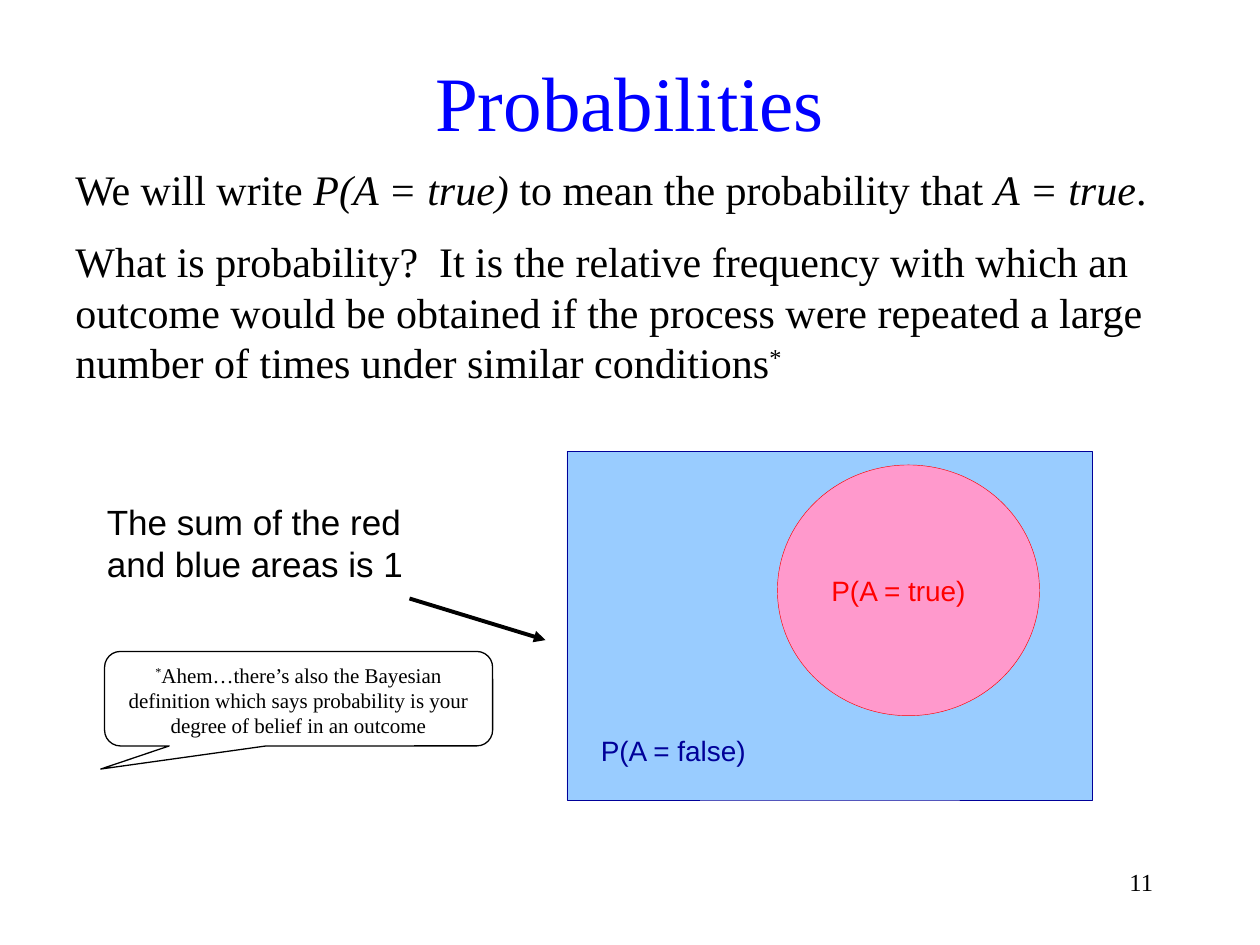
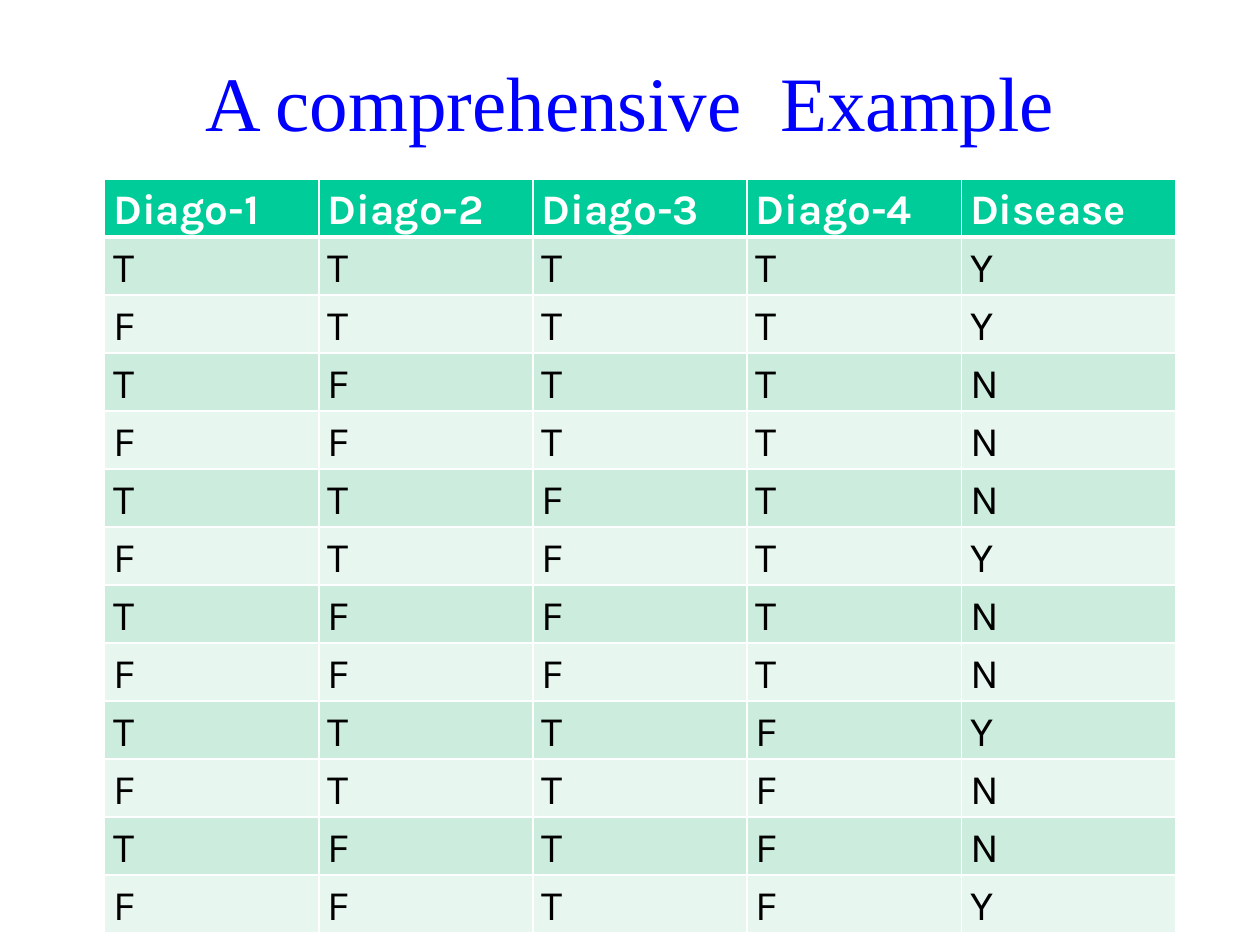
from dataclasses import dataclass
from lxml.etree import SubElement
from pptx import Presentation
from pptx.dml.color import RGBColor
from pptx.enum.shapes import MSO_CONNECTOR as Connector, MSO_SHAPE as Shape
from pptx.enum.text import MSO_ANCHOR as Anchor, PP_ALIGN as Align
from pptx.oxml.ns import qn
from pptx.util import Inches, Pt


@dataclass(frozen=True)
class Theme:
    serif: str = "Times New Roman"
    sans: str = "Arial"
    table_font: str = "Karla"
    black: str = "000000"
    white: str = "FFFFFF"
    title_blue: str = "0000FF"
    navy: str = "000099"
    sky: str = "99CCFF"
    red: str = "FF0000"
    pink: str = "FF99CC"
    header_green: str = "00CC99"
    bands: tuple = ("CCECDE", "E7F6EF")
    title_size: int = 44
    body_size: int = 24
    remark_size: int = 20
    label_size: int = 16
    number_size: int = 14
    callout_size: int = 12


THEME = Theme()

# Content: a paragraph is a list of (text, style) spans
PROBABILITY_TITLE = "Probabilities"
DEFINITION = [
    [("We will write ", ""), ("P(A = true)", "italic"),
     (" to mean the probability that ", ""), ("A = true", "italic"), (".", "")],
    [("What is probability?  It is the relative frequency with which an outcome "
      "would be obtained if the process were repeated a large number of times "
      "under similar conditions", ""), ("*", "super")],
]
BAYES_NOTE = [[("*", "super"),
               ("Ahem…there’s also the Bayesian definition which says probability "
                "is your degree of belief in an outcome", "")]]
AREA_REMARK = "The sum of the red and blue areas is 1"
TRUE_LABEL = "P(A = true)"
FALSE_LABEL = "P(A = false)"
PAGE_NUMBER = "11"

EXAMPLE_TITLE = "A comprehensive  Example"
HEADINGS = ["Diago-1", "Diago-2", "Diago-3", "Diago-4", "Disease"]
CASES = ["TTTTY", "FTTTY", "TFTTN", "FFTTN", "TTFTN", "FTFTY",
         "TFFTN", "FFFTN", "TTTFY", "FTTFN", "TFTFN", "FFTFY"]


def color(value):
    return RGBColor.from_string(value)


def write(frame, text, font=THEME.serif, size=THEME.body_size, ink=THEME.black,
          bold=False, align=Align.LEFT, anchor=Anchor.TOP, wrap=True,
          gap=0, after=0, spacing=None):
    """Fill a text frame from a string or a list of span paragraphs."""
    frame.word_wrap = wrap
    frame.vertical_anchor = anchor
    paragraphs = [[(text, "")]] if isinstance(text, str) else text
    for index, spans in enumerate(paragraphs):
        para = frame.add_paragraph() if index else frame.paragraphs[0]
        para.alignment = align
        if index:
            para.space_before = Pt(gap)
        if after:
            para.space_after = Pt(after)
        if spacing:
            para.line_spacing = spacing
        for words, style in spans:
            span = para.add_run()
            span.text = words
            span.font.name, span.font.size = font, Pt(size)
            span.font.color.rgb = color(ink)
            span.font.bold = bold
            span.font.italic = style == "italic"
            if style == "super":
                span._r.get_or_add_rPr().set("baseline", "30000")


def add_text(page, text, area, **style):
    box = page.shapes.add_textbox(*map(Inches, area))
    write(box.text_frame, text, **style)


def add_figure(page, kind, area, line, width, fill=None):
    figure = page.shapes.add_shape(kind, *map(Inches, area))
    figure.shadow.inherit = False
    if fill:
        figure.fill.solid()
        figure.fill.fore_color.rgb = color(fill)
    else:
        figure.fill.background()
    figure.line.color.rgb = color(line)
    figure.line.width = Pt(width)
    return figure


def add_arrow(page, start, end):
    arrow = page.shapes.add_connector(Connector.STRAIGHT, *map(Inches, start + end))
    arrow.line.color.rgb = color(THEME.black)
    arrow.line.width = Pt(2.25)
    SubElement(arrow.line._get_or_add_ln(), qn("a:tailEnd"), type="triangle")
    SubElement(arrow._element.spPr, qn("a:effectLst"))


def add_page(deck, title):
    page = deck.slides.add_slide(deck.slide_layouts[6])
    add_text(page, title, (0.75, 0.17, 8.5, 1.25), size=THEME.title_size,
             ink=THEME.title_blue, align=Align.CENTER, anchor=Anchor.MIDDLE)
    return page


def style_cell(cell, text, fill, top, bottom, **style):
    cell.margin_left = cell.margin_right = Inches(0.07)
    cell.margin_top = cell.margin_bottom = 0
    for side, width in (("L", 1), ("R", 1), ("T", top), ("B", bottom)):
        border = SubElement(cell._tc.get_or_add_tcPr(), qn(f"a:ln{side}"), w=str(Pt(width)))
        SubElement(SubElement(border, qn("a:solidFill")), qn("a:srgbClr"), val=THEME.white)
    cell.fill.solid()
    cell.fill.fore_color.rgb = color(fill)
    write(cell.text_frame, text, font=THEME.table_font, after=8, spacing=1.15, **style)


def build_probabilities(deck):
    page = add_page(deck, PROBABILITY_TITLE)
    add_text(page, PAGE_NUMBER, (8.17, 6.83, 1.08, 0.5),
             size=THEME.number_size, align=Align.RIGHT)
    add_text(page, AREA_REMARK, (0.75, 3.92, 2.84, 0.77),
             font=THEME.sans, size=THEME.remark_size)

    # Areas for the two outcomes
    add_figure(page, Shape.RECTANGLE, (4.5, 3.58, 4.17, 2.77), THEME.navy, 0.25, THEME.sky)
    add_figure(page, Shape.OVAL, (6.17, 3.69, 2.08, 1.99), THEME.red, 0.25, THEME.pink)
    label = dict(font=THEME.sans, size=THEME.label_size)
    add_text(page, FALSE_LABEL, (4.67, 5.77, 1.37, 0.37), ink=THEME.navy, wrap=False, **label)
    add_text(page, TRUE_LABEL, (6.5, 4.5, 1.42, 0.37), ink=THEME.red, **label)
    add_arrow(page, (3.25, 4.75), (4.33, 5.08))

    # Definition and its footnote
    add_text(page, DEFINITION, (0.5, 1.25, 9.08, 1.9), gap=12.5)
    callout = add_figure(page, Shape.ROUNDED_RECTANGULAR_CALLOUT,
                         (0.83, 5.17, 3.08, 0.75), THEME.black, 0.75)
    for index, value in enumerate((-0.51, 0.745, 0.167)):
        callout.adjustments[index] = value
    write(callout.text_frame, BAYES_NOTE, size=THEME.callout_size, align=Align.CENTER)


def build_example(deck):
    page = add_page(deck, EXAMPLE_TITLE)
    rows = [HEADINGS, *CASES]
    holder = page.shapes.add_table(len(rows), len(HEADINGS), Inches(0.83), Inches(1.42),
                                   Inches(8.5), Inches(5.68))
    table = holder.table
    for index, values in enumerate(rows):
        table.rows[index].height = Inches(0.41)
        header = index == 0
        fill = THEME.header_green if header else THEME.bands[(index - 1) % 2]
        for column, value in enumerate(values):
            style_cell(table.cell(index, column), value, fill, bold=header,
                       top=3 if index == 1 else 1, bottom=3 if header else 1,
                       ink=THEME.white if header else THEME.black)
    holder.height = Inches(5.68)


def main():
    deck = Presentation()
    deck.slide_width, deck.slide_height = Inches(10), Inches(7.5)
    build_probabilities(deck)
    build_example(deck)
    deck.save("out.pptx")


if __name__ == "__main__":
    main()
